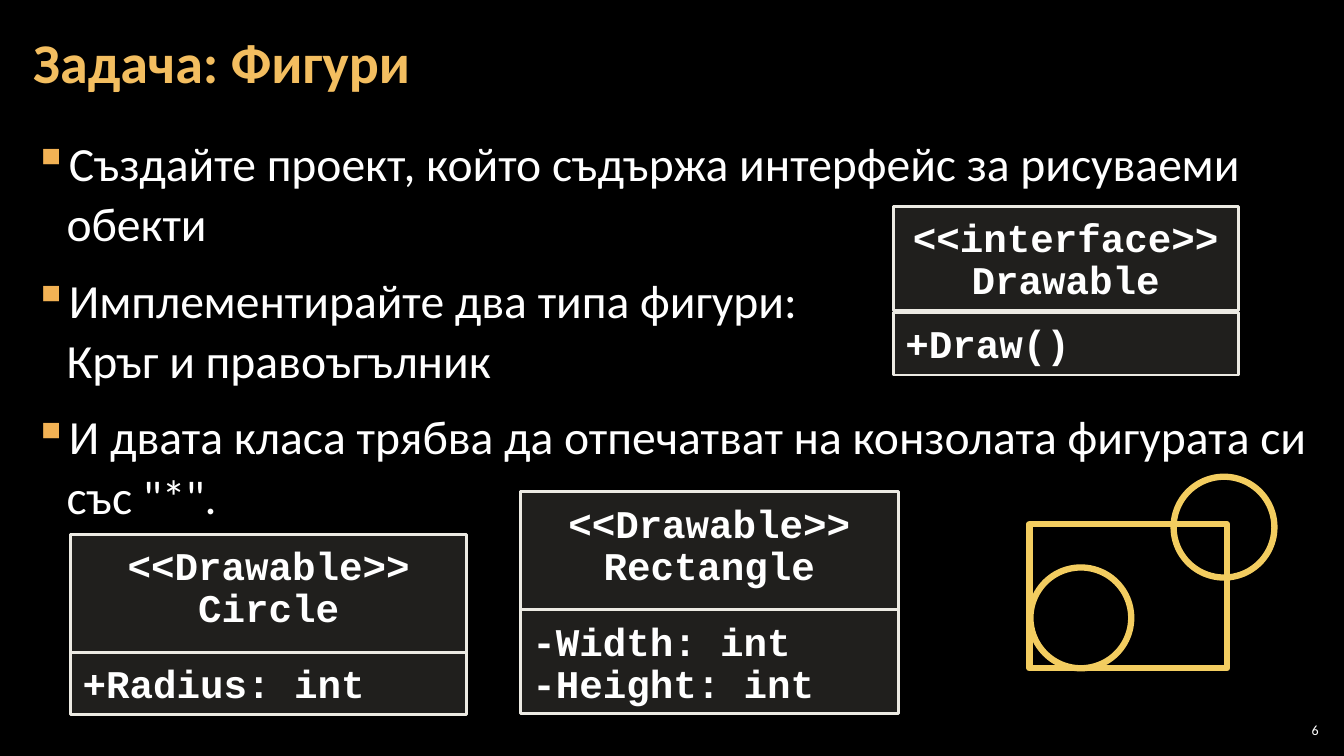
from lxml import etree
from pptx import Presentation
from pptx import util as u
from pptx.dml.color import RGBColor
from pptx.enum import shapes, text
from pptx.oxml.ns import qn

WHITE, BULLET, GOLD = "FFFFFF", "F2B254", "F3CD60"


def color(hex_string):
    return RGBColor.from_string(hex_string)


def add_bullet(paragraph, mark="▪", indent=0.33):
    props = paragraph._p.get_or_add_pPr()
    props.set("marL", str(u.Inches(indent)))
    props.set("indent", str(-u.Inches(indent)))
    tint = etree.SubElement(props, qn("a:buClr"))
    etree.SubElement(tint, qn("a:srgbClr")).set("val", BULLET)
    etree.SubElement(props, qn("a:buChar")).set("char", mark)


def write(frame, lines, size, font="Calibri", tint=WHITE, bold=False,
          align=text.PP_ALIGN.LEFT, anchor=text.MSO_ANCHOR.TOP,
          insets=(0.12, 0.04), spacing=None, gap=0, bulleted=False):
    frame.word_wrap = True
    frame.vertical_anchor = anchor
    frame.margin_left = frame.margin_right = u.Inches(insets[0])
    frame.margin_top = frame.margin_bottom = u.Inches(insets[1])
    for i, line in enumerate(lines):
        paragraph = frame.add_paragraph() if i else frame.paragraphs[0]
        paragraph.text = line
        if bulleted:
            add_bullet(paragraph)
        paragraph.alignment = align
        paragraph.line_spacing = spacing
        paragraph.space_before = u.Pt(gap if i else 0)
        paragraph.space_after = u.Pt(gap)
        for run in paragraph.runs:
            run.font.name = font
            run.font.size = u.Pt(size)
            run.font.bold = bold
            run.font.color.rgb = color(tint)


def add_text(slide, box, lines, **style):
    label = slide.shapes.add_textbox(*map(u.Inches, box))
    write(label.text_frame, lines, **style)


def add_outline(parent, kind, box, line, weight):
    outline = parent.shapes.add_shape(kind, *map(u.Inches, box))
    outline.shadow.inherit = False
    outline.fill.background()
    outline.line.color.rgb = color(line)
    outline.line.width = u.Pt(weight)
    return outline


def add_class_diagram(slide, box, header_height, members_top, names, members):
    left, top, width, height = box
    diagram = slide.shapes.add_group_shape()
    header = (left, top, width, header_height)
    body = (left, top + members_top, width, height - members_top)
    for part, lines, align in ((header, names, text.PP_ALIGN.CENTER),
                               (body, members, text.PP_ALIGN.LEFT)):
        cell = add_outline(diagram, shapes.MSO_SHAPE.RECTANGLE, part, "ECEAE3", 2)
        cell.fill.solid()
        cell.fill.fore_color.rgb = color("D9D5C7")
        tint = cell.fill._xPr.find(qn("a:solidFill"))[0]
        etree.SubElement(tint, qn("a:alpha")).set("val", "15000")
        write(cell.text_frame, lines, size=28, font="Courier New", bold=True,
              align=align, insets=(0.12, 0.12), spacing=u.Pt(30))


def add_figures(slide, box):
    left, top, width, height = box
    diameter = 1
    add_outline(slide, shapes.MSO_SHAPE.RECTANGLE, box, GOLD, 4.5)
    for x, y in ((width - 0.53, -0.47), (0.01, height - diameter)):
        add_outline(slide, shapes.MSO_SHAPE.OVAL,
                    (left + x, top + y, diameter, diameter), GOLD, 4.5)


def build_task_slide(deck):
    slide = deck.slides.add_slide(deck.slide_layouts[6])
    slide.background.fill.solid()
    slide.background.fill.fore_color.rgb = color("000000")
    add_text(slide, (12.65, 7.14, 0.47, 0.21), ["6"], size=10,
             align=text.PP_ALIGN.RIGHT, anchor=text.MSO_ANCHOR.MIDDLE,
             insets=(0.04, 0.04))
    add_text(slide, (0.21, 1.26, 12.91, 6.09), [
        "Създайте проект, който съдържа интерфейс за рисуваеми обекти",
        "Имплементирайте два типа фигури:\vКръг и правоъгълник",
        "И двата класа трябва да отпечатват на конзолата фигурата си със \"*\".",
    ], size=34, spacing=1.05, gap=6, bulleted=True)
    add_text(slide, (0.21, 0.04, 10.47, 1.21), ["Задача: Фигури"], size=40,
             tint="F3BE60", bold=True, anchor=text.MSO_ANCHOR.MIDDLE, spacing=0.9)
    add_class_diagram(slide, (0.7, 5.3, 3.93, 1.79), 1.17, 1.17,
                      ["<<Drawable>>", "Circle"], ["+Radius: int"])
    add_class_diagram(slide, (5.16, 4.88, 3.75, 2.2), 1.17, 1.17,
                      ["<<Drawable>>", "Rectangle"],
                      ["-Width: int", "-Height: int"])
    add_class_diagram(slide, (8.86, 2.05, 3.42, 1.67), 1.03, 1.05,
                      ["<<interface>>", "Drawable"], ["+Draw()"])
    add_figures(slide, (10.21, 5.2, 1.96, 1.43))


def main():
    deck = Presentation()
    deck.slide_width, deck.slide_height = u.Inches(13.33), u.Inches(7.5)
    build_task_slide(deck)
    deck.save("out.pptx")


if __name__ == "__main__":
    main()
